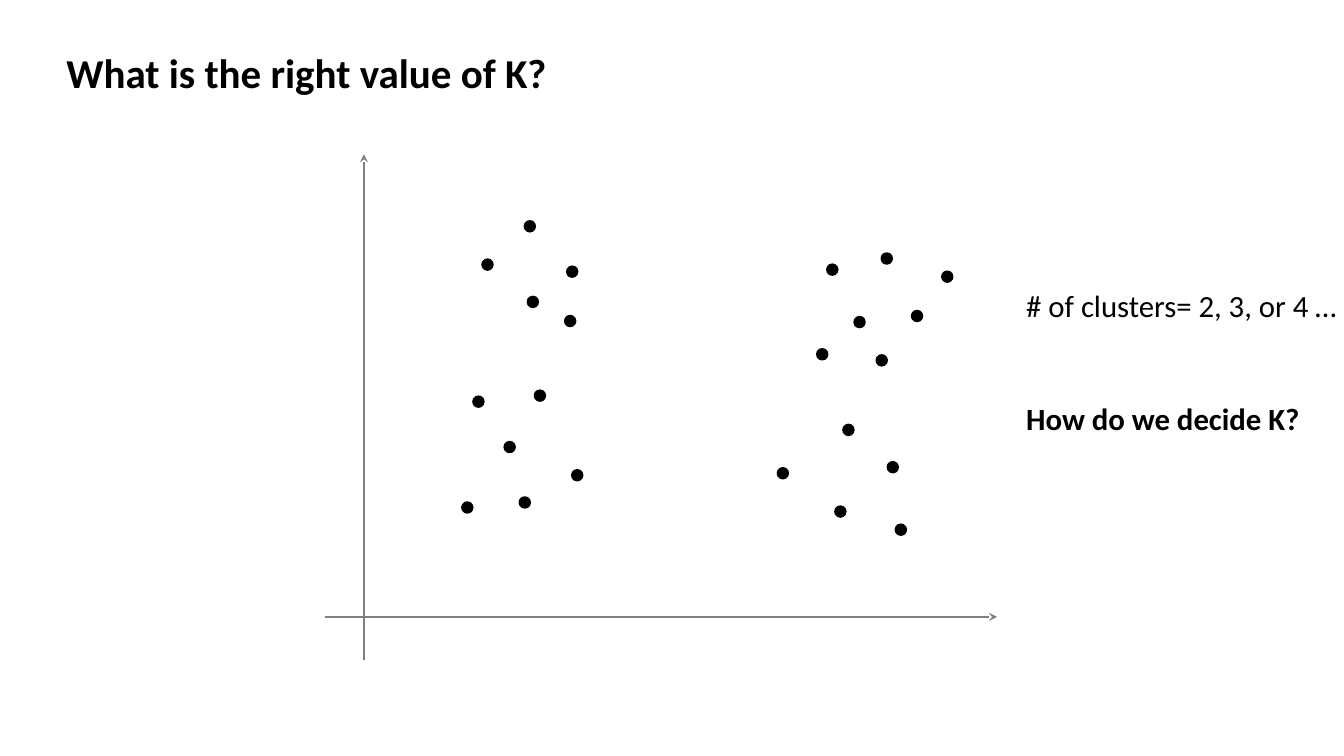
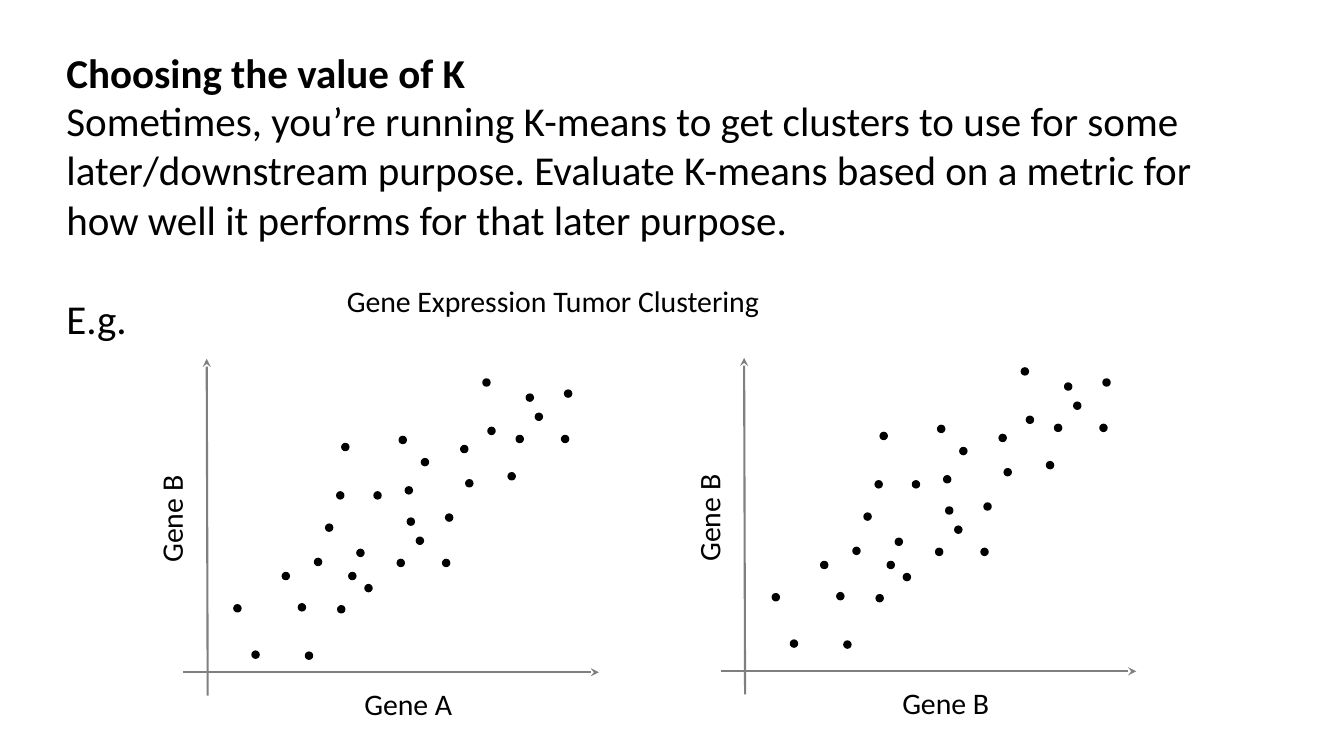
"""Builds two slides on choosing the number of clusters in K-means."""
from dataclasses import dataclass

from lxml.etree import SubElement
from pptx import Presentation
from pptx.dml.color import RGBColor
from pptx.enum.shapes import MSO_CONNECTOR as CONNECTOR, MSO_SHAPE as SHAPE
from pptx.enum.text import PP_ALIGN as ALIGN
from pptx.oxml.ns import qn
from pptx.util import Emu, Pt

EMU_PER_PX = 9144


@dataclass(frozen=True)
class Theme:
    """Colours, font and sizes shared by the slides."""
    ink: RGBColor = RGBColor(0, 0, 0)
    axis: RGBColor = RGBColor(0x7F, 0x7F, 0x7F)
    font: str = "Calibri"
    heading: float = 29.3
    note: float = 22
    label: float = 21.3
    axis_width: float = 1.5
    dot_width: float = 1


THEME = Theme()

CLUSTER_DOTS = [
    (458, 498), (500, 438), (530, 387), (567, 466), (469, 393), (520, 219),
    (562, 264), (523, 294), (478, 257), (560, 313), (515, 493), (880, 458),
    (836, 421), (888, 520), (828, 502), (771, 464), (904, 308), (820, 262),
    (869, 352), (810, 346), (847, 314), (934, 269), (874, 251),
]
GENE_DOTS = [
    (296, 599), (442, 510), (323, 520), (439, 555), (312, 554), (413, 533),
    (462, 476), (418, 455), (484, 424), (371, 488), (335, 601), (354, 545),
    (346, 568), (250, 646), (303, 647), (280, 568), (362, 580), (232, 600),
    (334, 488), (404, 514), (396, 433), (402, 483), (339, 440), (394, 555),
    (479, 376), (457, 442), (504, 469), (560, 387), (557, 432), (531, 410),
    (522, 391), (512, 432),
]


def px(*lengths):
    """Turn px lengths into EMU."""
    return [Emu(length * EMU_PER_PX) for length in lengths]


def add_text(slide, box, paragraphs, size, bold=(), align=ALIGN.LEFT, gap=0, turn=0):
    """Add a wrapped text box; bold lists the indexes of bold paragraphs."""
    text_box = slide.shapes.add_textbox(*px(*box))
    text_box.rotation = turn
    frame = text_box.text_frame
    frame.word_wrap = True
    frame.text = "\n".join(paragraphs)
    for index, paragraph in enumerate(frame.paragraphs):
        paragraph.alignment = align
        paragraph.space_before = Pt(gap if index else 0)
        for run in paragraph.runs:
            run.font.name = THEME.font
            run.font.size = Pt(size)
            run.font.bold = index in bold
            run.font.color.rgb = THEME.ink


def add_title(slide, title):
    """Add the bold slide title."""
    add_text(slide, (56, 42, 1211, 59), [title], THEME.heading, bold=(0,))


def add_arrow(slide, start, end):
    """Add a grey axis line with an arrowhead at its end."""
    arrow = slide.shapes.add_connector(CONNECTOR.STRAIGHT, *px(*start, *end))
    arrow.line.color.rgb = THEME.axis
    arrow.line.width = Pt(THEME.axis_width)
    SubElement(arrow.line._get_or_add_ln(), qn("a:tailEnd"), type="stealth")
    SubElement(arrow._element.spPr, qn("a:effectLst"))


def add_axes(slide, origin, left, right, up, down, lean=0):
    """Add two axes that cross at the origin."""
    x, y = origin
    add_arrow(slide, (x, y + down), (x - lean, y - up))
    add_arrow(slide, (x - left, y), (x + right, y))


def add_dots(slide, dots, size, shift=(0, 0)):
    """Add a black dot at each shifted position."""
    for x, y in dots:
        dot = slide.shapes.add_shape(
            SHAPE.OVAL, *px(x + shift[0], y + shift[1], size, size))
        dot.shadow.inherit = False
        dot.fill.solid()
        dot.fill.fore_color.rgb = THEME.ink
        dot.line.color.rgb = THEME.ink
        dot.line.width = Pt(THEME.dot_width)


def add_label(slide, box, text, turn=0):
    """Add a centred chart label."""
    add_text(slide, box, [text], THEME.label, align=ALIGN.CENTER, turn=turn)


def add_gene_plot(slide, origin, x_label, shift=(0, 0)):
    """Add a labelled gene scatter plot."""
    x, y = origin
    add_axes(slide, origin, left=24, right=388, up=311, down=23, lean=1)
    add_dots(slide, GENE_DOTS, 7, shift)
    add_label(slide, (x + 112, y + 8, 174, 46), x_label)
    add_label(slide, (x - 145, y - 175, 218, 46), "Gene B", turn=270)


def build_question(slide):
    """Ask how many clusters the points form."""
    add_title(slide, "What is the right value of K?")
    add_axes(slide, (361, 612), left=39, right=628, up=459, down=43)
    add_dots(slide, CLUSTER_DOTS, 11)
    add_text(slide, (1008, 280, 332, 158),
             ["# of clusters= 2, 3, or 4 …", "How do we decide K?"],
             THEME.note, bold=(1,), gap=54)


def build_choice(slide):
    """Explain choosing K by its later purpose."""
    add_title(slide, "Choosing the value of K")
    purpose = ("Sometimes, you’re running K-means to get clusters to use for some "
               "later/downstream purpose. Evaluate K-means based on a metric for "
               "how well it performs for that later purpose.")
    add_text(slide, (56, 90, 1211, 257), [purpose, "E.g."], THEME.heading, gap=36)
    add_label(slide, (327, 276, 443, 46), "Gene Expression Tumor Clustering")
    add_gene_plot(slide, (206, 667), "Gene A")
    add_gene_plot(slide, (739, 666), "Gene B", shift=(534, -11))


def main():
    """Build and save the presentation."""
    deck = Presentation()
    deck.slide_width, deck.slide_height = px(1333, 750)
    for build in (build_question, build_choice):
        build(deck.slides.add_slide(deck.slide_layouts[6]))
    deck.save("out.pptx")


if __name__ == "__main__":
    main()
